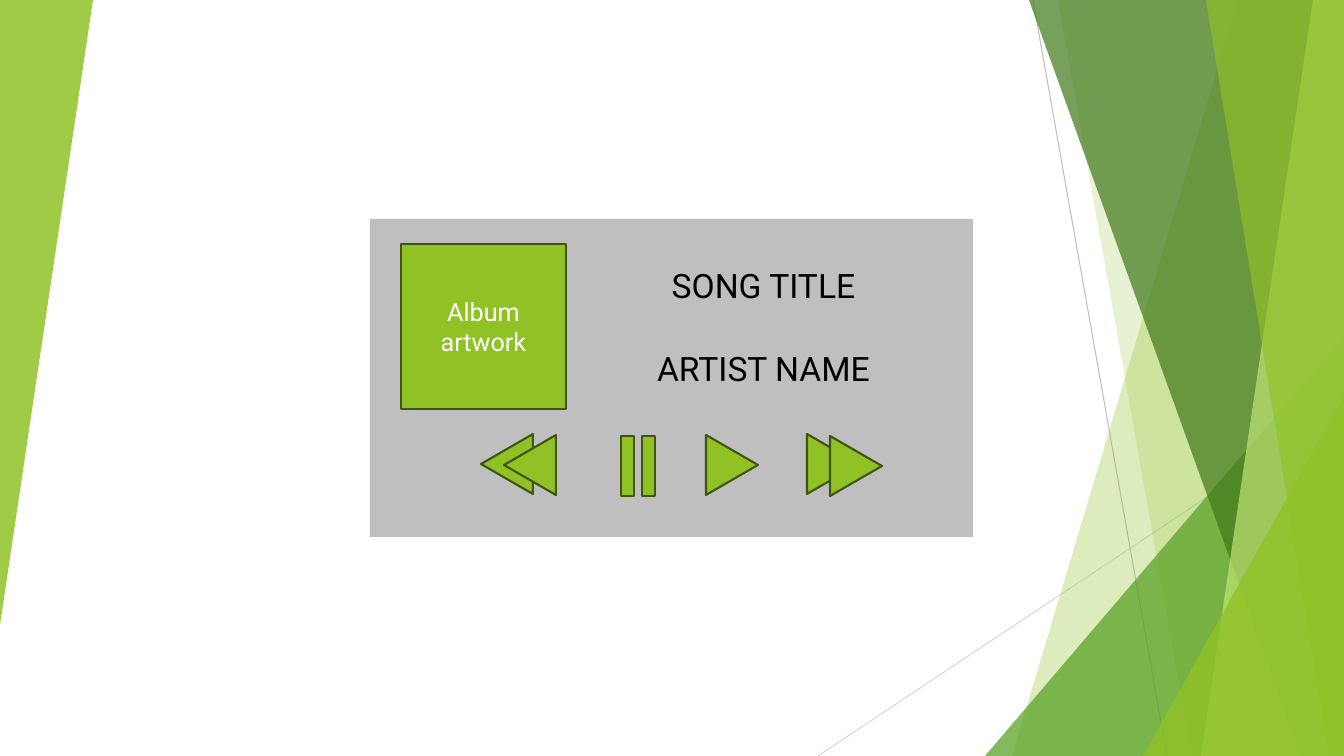
from pptx import Presentation
from pptx.dml.color import RGBColor as RGB
from pptx.enum.shapes import MSO_CONNECTOR as LINK, MSO_SHAPE as KIND
from pptx.enum.text import MSO_ANCHOR as ANCHOR, MSO_AUTO_SIZE as FIT, PP_ALIGN as ALIGN
from pptx.oxml.ns import qn
from pptx.util import Pt
from lxml import etree

THEME = {
    "lime": "90C226", "green": "54A021", "dark": "3F7819", "pale": "C0E474",
    "edge": "3F5511", "grey": "BFBFBF", "mist": "D9D9D9",
    "ink": "000000", "white": "FFFFFF",
    "font": "Roboto", "big": 24, "small": 18,
}
W, H = 1344, 756
SCALE = 914400 / 100.8  # EMU per px


def px(*nums):
    return [round(n * SCALE) for n in nums]


def paint(shape, color, alpha=100, edge=None):
    shape.shadow.inherit = False
    shape.fill.solid()
    shape.fill.fore_color.rgb = RGB.from_string(THEME[color])
    if alpha < 100:
        tint = shape.fill._xPr.find(qn("a:solidFill"))[0]
        etree.SubElement(tint, qn("a:alpha"), val=str(alpha * 1000))
    if edge:
        shape.line.color.rgb = RGB.from_string(THEME[edge])
        shape.line.width = Pt(1.5)
    else:
        shape.line.fill.background()


deck = Presentation()
deck.slide_width, deck.slide_height = px(W, H)
slide = deck.slides.add_slide(deck.slide_layouts[6])
shapes = slide.shapes

# Thin background lines
for ends, color in [((1033, 0, 1167, H), "grey"), ((W, 406, 818, H), "mist")]:
    line = shapes.add_connector(LINK.STRAIGHT, *px(*ends))
    line.line.color.rgb = RGB.from_string(THEME[color])
    line.line.width = Pt(0.75)
    etree.SubElement(line._element.spPr, qn("a:effectLst"))

# Facets: a band runs to the right edge from x at the top and x at the foot;
# a wedge is a right triangle given by its box and turn
facets = [
    ("band", (1238, 1012), "lime", 30),
    ("band", (1058, 1192), "lime", 20),
    ("wedge", (985, 336, 359, 420, 0), "green", 72),
    ("band", (1029, 1301), "dark", 70),
    ("band", (1313, 1201), "pale", 70),
    ("band", (1206, 1329), "lime", 65),
    ("wedge", (1143, 396, 201, 360, 0), "lime", 80),
    ("wedge", (0, 0, 93, 625, 180), "lime", 85),
]
for kind, spot, color, alpha in facets:
    if kind == "band":
        top, foot = spot
        pen = shapes.build_freeform(top, 0, scale=SCALE)
        pen.add_line_segments([(W, 0), (W, H), (foot, H)], close=True)
        facet = pen.convert_to_shape()
    else:
        facet = shapes.add_shape(KIND.ISOSCELES_TRIANGLE, *px(*spot[:4]))
        facet.adjustments[0] = 1
        facet.rotation = spot[4]
    paint(facet, color, alpha)

# Player panel and album cover
panel = shapes.add_shape(KIND.RECTANGLE, *px(370, 219, 603, 318))
paint(panel, "grey")
cover = shapes.add_shape(KIND.RECTANGLE, *px(401, 244, 165, 165))
paint(cover, "lime", edge="edge")

# Labels
song = shapes.add_textbox(*px(589, 260, 349, 50))
artist = shapes.add_textbox(*px(589, 343, 349, 50))
for box, words, size, color in [
    (song, "SONG TITLE", "big", "ink"),
    (artist, "ARTIST NAME", "big", "ink"),
    (cover, "Album artwork", "small", "white"),
]:
    frame = box.text_frame
    frame.word_wrap = True
    if box is cover:
        frame.vertical_anchor = ANCHOR.MIDDLE
    else:
        frame.auto_size = FIT.SHAPE_TO_FIT_TEXT
    para = frame.paragraphs[0]
    para.alignment = ALIGN.CENTER
    run = para.add_run()
    run.text = words
    run.font.name = THEME["font"]
    run.font.size = Pt(THEME[size])
    run.font.color.rgb = RGB.from_string(THEME[color])

# Play, forward and rewind arrows, each by its centre and turn
BASE, TALL = 60, 52
for x, y, turn in [
    (732, 465, 90),
    (833, 464, 90), (856, 466, 90),
    (507, 464, 270), (530, 465, 270),
]:
    spot = px(x - BASE / 2, y - TALL / 2, BASE, TALL)
    arrow = shapes.add_shape(KIND.ISOSCELES_TRIANGLE, *spot)
    arrow.rotation = turn
    paint(arrow, "lime", edge="edge")

# Pause bars
for x in (642, 621):
    bar = shapes.add_shape(KIND.RECTANGLE, *px(x, 436, 13, 60))
    paint(bar, "lime", edge="edge")

deck.save("out.pptx")
